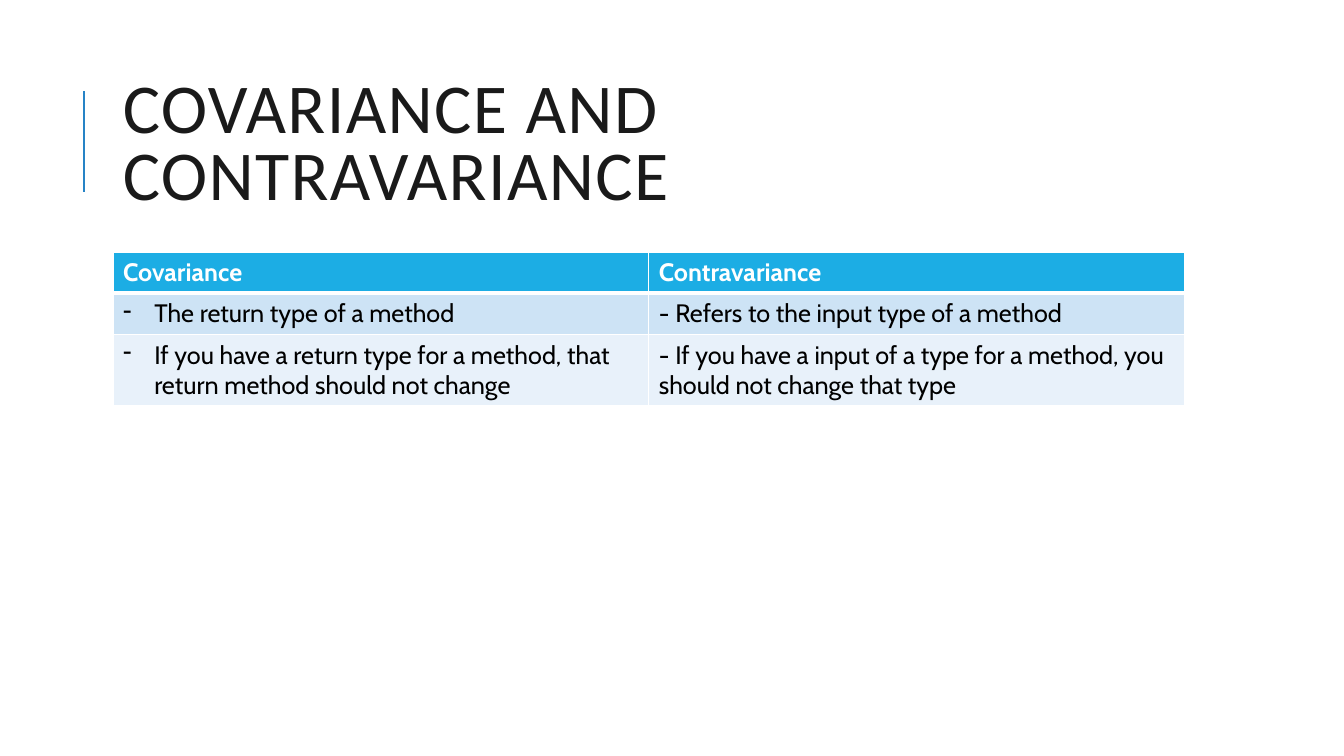
from lxml.etree import SubElement
from pptx import Presentation
from pptx.dml.color import RGBColor
from pptx.enum.shapes import MSO_CONNECTOR
from pptx.enum.text import MSO_ANCHOR
from pptx.oxml import parse_xml
from pptx.oxml.ns import nsdecls, qn
from pptx.util import Inches, Pt

LEFT, WIDTH = 1.12, 10.63
ROW_HEIGHTS = [0.41, 0.41, 0.7]
ROW_FILLS = ["1CADE4", "CDE3F5", "E8F1FA"]
ROWS = [
    ("Covariance", "Contravariance"),
    ("The return type of a method", "- Refers to the input type of a method"),
    ("If you have a return type for a method, that return method should not change",
     "- If you have a input of a type for a method, you should not change that type"),
]


def color(value):
    return RGBColor.from_string(value)


def set_font(paragraph, name, size, value, bold=False):
    font = paragraph.font
    font.name, font.size, font.bold = name, Pt(size), bold
    font.color.rgb = color(value)


def add_accent_line(slide):
    line = slide.shapes.add_connector(
        MSO_CONNECTOR.STRAIGHT, Inches(0.83), Inches(1.9), Inches(0.83), Inches(0.9))
    line.line.color.rgb = color("2683C6")
    line.line.width = Pt(1.5)
    SubElement(line._element.spPr, qn("a:effectLst"))


def add_title(slide, text):
    box = slide.shapes.add_textbox(
        Inches(LEFT), Inches(0.64), Inches(WIDTH), Inches(1.64))
    frame = box.text_frame
    frame.word_wrap = True
    frame.vertical_anchor = MSO_ANCHOR.MIDDLE
    paragraph = frame.paragraphs[0]
    run = paragraph.add_run()
    run.text = text
    run.font._element.set("spc", "100")
    paragraph.line_spacing = 0.8
    set_font(paragraph, "Calibri", 50, "1A1A1A")


def set_borders(cell, top, bottom):
    """Draw white borders, with the top and bottom widths in points."""
    properties = cell._tc.get_or_add_tcPr()
    for index, (side, width) in enumerate(
            [("L", 1), ("R", 1), ("T", top), ("B", bottom)]):
        properties.insert(index, parse_xml(
            f'<a:ln{side} {nsdecls("a")} w="{Pt(width)}"><a:solidFill>'
            f'<a:srgbClr val="FFFFFF"/></a:solidFill></a:ln{side}>'))


def add_dash_bullet(paragraph):
    properties = paragraph._p.get_or_add_pPr()
    properties.set("marL", str(Inches(0.31)))
    properties.set("indent", str(-Inches(0.31)))
    properties.insert(0, parse_xml(f'<a:buChar {nsdecls("a")} char="-"/>'))


def add_comparison_table(slide):
    table = slide.shapes.add_table(
        len(ROWS), 2, Inches(LEFT), Inches(2.5),
        Inches(WIDTH), Inches(sum(ROW_HEIGHTS))).table
    table.horz_banding = False
    for row_index, texts in enumerate(ROWS):
        table.rows[row_index].height = Inches(ROW_HEIGHTS[row_index])
        is_header = row_index == 0
        for column_index, text in enumerate(texts):
            cell = table.cell(row_index, column_index)
            cell.text = text
            cell.fill.solid()
            cell.fill.fore_color.rgb = color(ROW_FILLS[row_index])
            set_borders(cell, top=3 if row_index == 1 else 1,
                        bottom=3 if is_header else 1)
            paragraph = cell.text_frame.paragraphs[0]
            set_font(paragraph, "Cabin", 18,
                     "FFFFFF" if is_header else "000000", is_header)
            if column_index == 0 and not is_header:
                add_dash_bullet(paragraph)


def main():
    presentation = Presentation()
    presentation.slide_width = Inches(13.33)
    presentation.slide_height = Inches(7.5)
    slide = presentation.slides.add_slide(presentation.slide_layouts[6])
    add_accent_line(slide)
    add_title(slide, "COVARIANCE AND CONTRAVARIANCE")
    add_comparison_table(slide)
    presentation.save("out.pptx")


if __name__ == "__main__":
    main()
